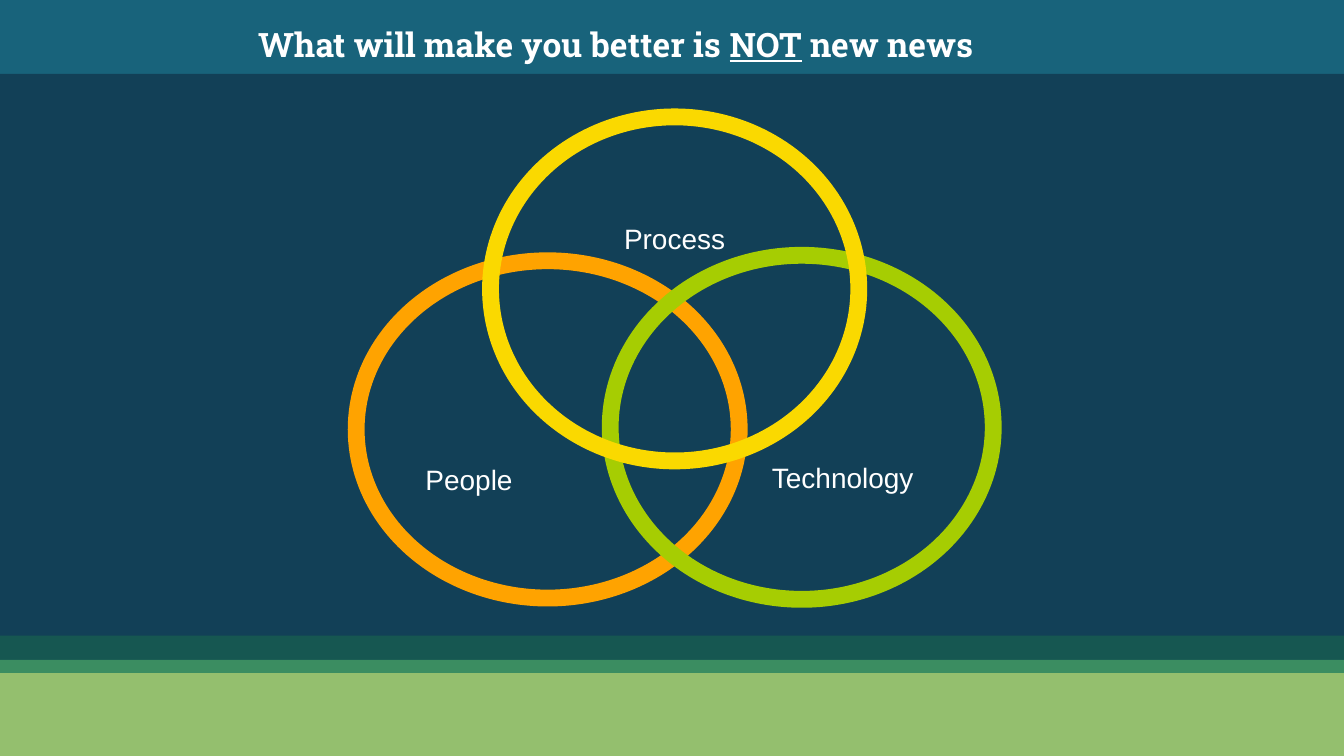
from dataclasses import dataclass

from pptx import Presentation
from pptx.dml.color import RGBColor
from pptx.enum.shapes import MSO_SHAPE as Shape
from pptx.enum.text import MSO_ANCHOR as Anchor, MSO_AUTO_SIZE as AutoSize, PP_ALIGN as Align
from pptx.util import Inches, Pt


@dataclass(frozen=True)
class Theme:
    white: str = "FFFFFF"
    sky: str = "18637B"
    sea: str = "124057"
    shore: str = "165751"
    grass: str = "3B8D61"
    field: str = "94BF6E"
    orange: str = "FFA300"
    green: str = "A6CD02"
    yellow: str = "FAD900"
    title_font: str = "Roboto Slab"
    label_font: str = "Arial"
    title_size: int = 18
    label_size: int = 15
    ring_width: int = 9
    inset: float = 0.1


THEME = Theme()
SLIDE_WIDTH = 10
SLIDE_HEIGHT = SLIDE_WIDTH * 9 / 16


def add_run(paragraph, text, font_name, size, bold=False, underline=False):
    run = paragraph.add_run()
    run.text = text
    run.font.name = font_name
    run.font.size = Pt(size)
    run.font.bold = bold
    run.font.underline = underline
    run.font.color.rgb = RGBColor.from_string(THEME.white)


def set_margins(frame, left=THEME.inset, top=THEME.inset, bottom=THEME.inset):
    frame.margin_left = Inches(left)
    frame.margin_top = Inches(top)
    frame.margin_right = Inches(THEME.inset)
    frame.margin_bottom = Inches(bottom)


def add_band(slide, top, height, color):
    band = slide.shapes.add_shape(
        Shape.RECTANGLE, 0, Inches(top), Inches(SLIDE_WIDTH), Inches(height))
    band.shadow.inherit = False
    band.fill.solid()
    band.fill.fore_color.rgb = RGBColor.from_string(color)
    band.line.fill.background()


def add_ring(slide, box, color, label, align=Align.CENTER, **margins):
    ring = slide.shapes.add_shape(Shape.OVAL, *map(Inches, box))
    ring.shadow.inherit = False
    ring.fill.background()
    ring.line.color.rgb = RGBColor.from_string(color)
    ring.line.width = Pt(THEME.ring_width)
    frame = ring.text_frame
    frame.word_wrap = True
    frame.vertical_anchor = Anchor.MIDDLE
    set_margins(frame, **margins)
    paragraph = frame.paragraphs[0]
    paragraph.alignment = align
    add_run(paragraph, label, THEME.label_font, THEME.label_size)


def set_title(slide, parts):
    title = slide.shapes.title
    title.left, title.top = Inches(1.82), Inches(0.08)
    title.width, title.height = Inches(6.63), Inches(0.48)
    frame = title.text_frame
    frame.word_wrap = True
    frame.auto_size = AutoSize.NONE
    frame.vertical_anchor = Anchor.TOP
    set_margins(frame)
    paragraph = frame.paragraphs[0]
    paragraph.alignment = Align.LEFT
    for text, underline in parts:
        add_run(paragraph, text, THEME.title_font, THEME.title_size, True, underline)
    slide.shapes._spTree.append(title._element)


def main():
    deck = Presentation()
    deck.slide_width, deck.slide_height = Inches(SLIDE_WIDTH), Inches(SLIDE_HEIGHT)
    slide = deck.slides.add_slide(deck.slide_layouts[5])

    field_top = 5.01
    for top, height, color in (
        (4.7, 0.26, THEME.shore),
        (0, 0.58, THEME.sky),
        (0.55, 4.18, THEME.sea),
        (4.91, 0.13, THEME.grass),
        (field_top, SLIDE_HEIGHT - field_top, THEME.field),
    ):
        add_band(slide, top, height, color)

    add_ring(slide, (2.65, 1.94, 2.85, 2.51), THEME.orange, "People", Align.LEFT, top=0.85)
    add_ring(slide, (4.54, 1.9, 2.85, 2.56), THEME.green, "Technology", left=0.71, top=0.84)
    add_ring(slide, (3.65, 0.87, 2.74, 2.56), THEME.yellow, "Process", bottom=0.85)
    set_title(slide, (
        ("What will make you better is ", False),
        ("NOT", True),
        (" new news", False),
    ))
    deck.save("out.pptx")


if __name__ == "__main__":
    main()
